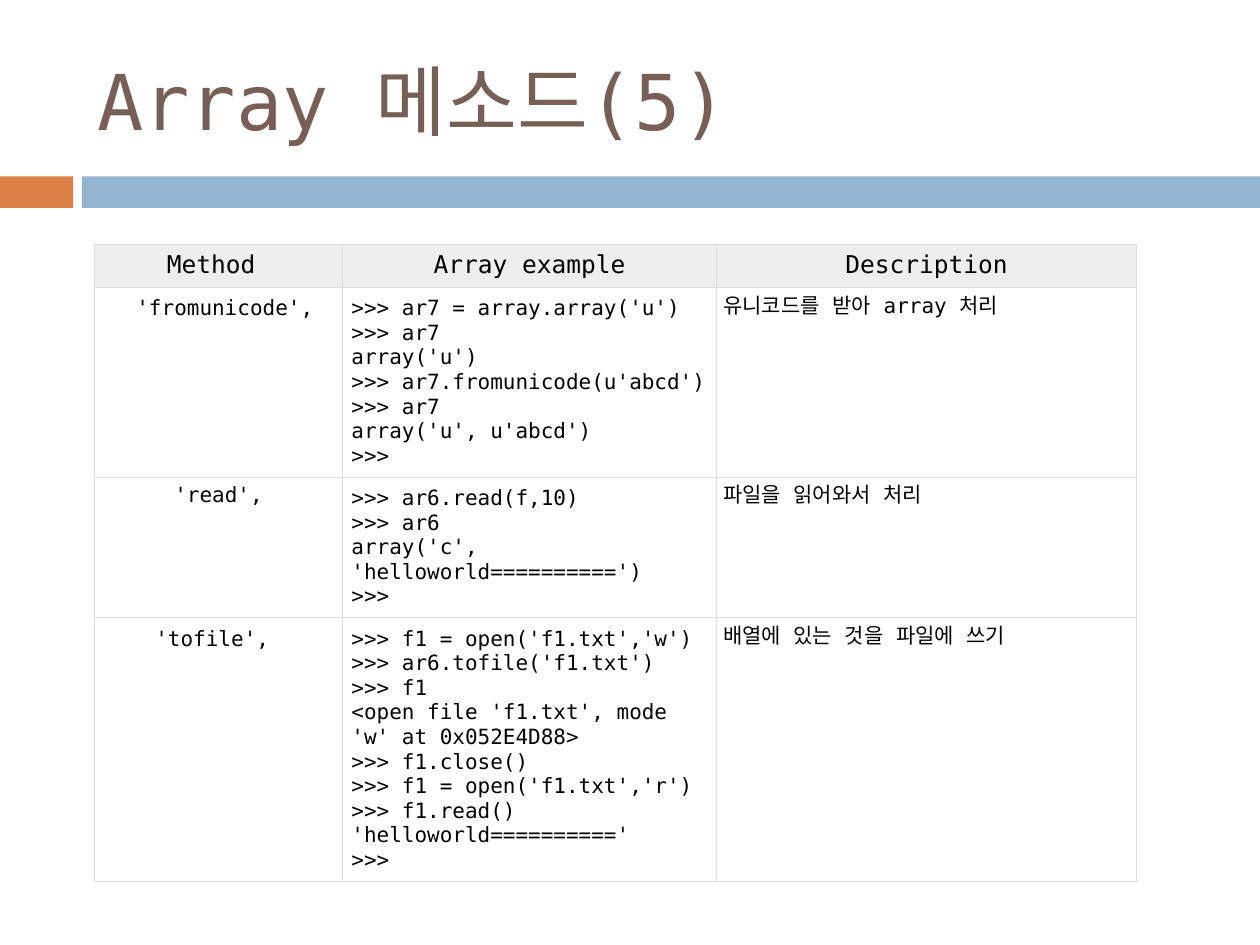
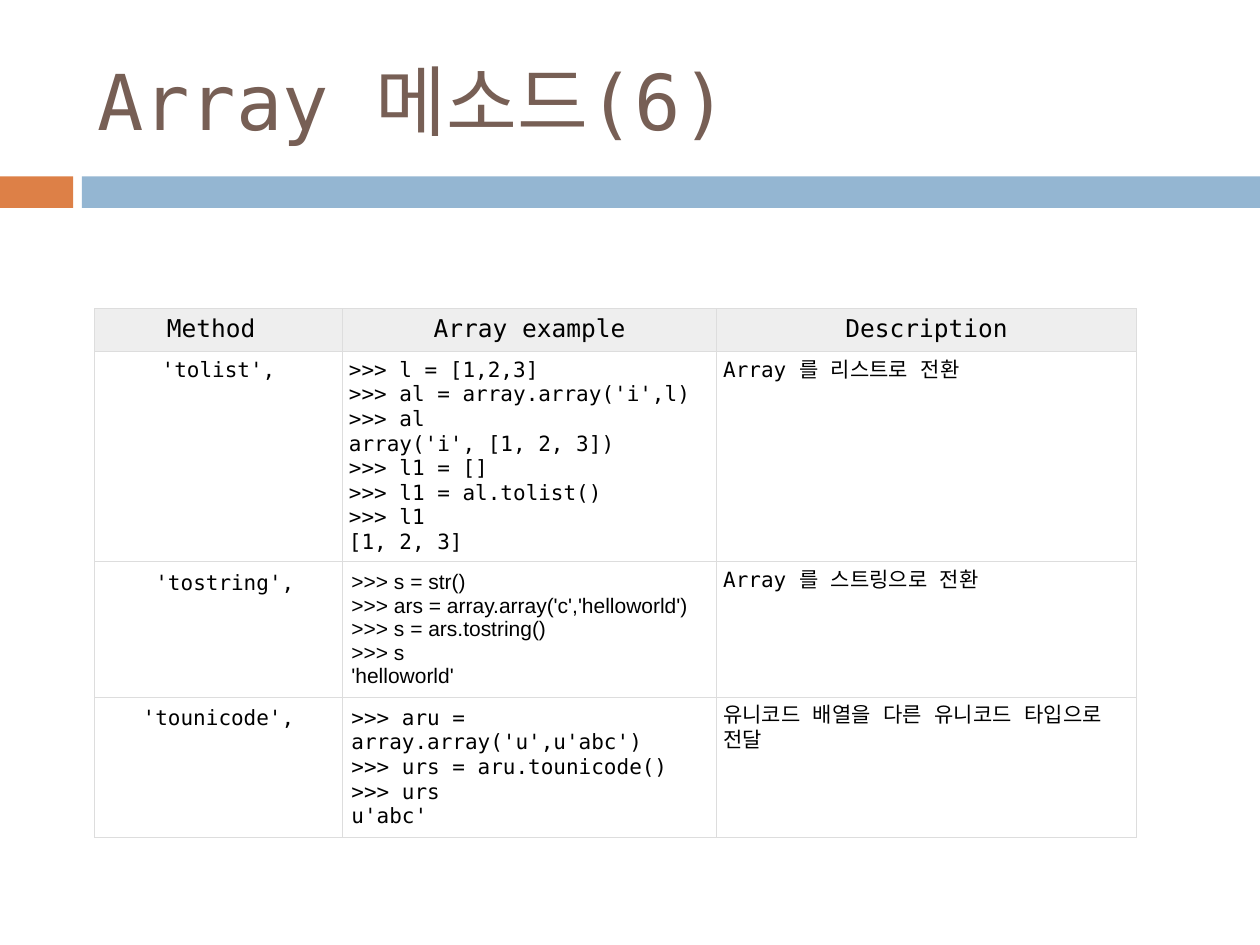
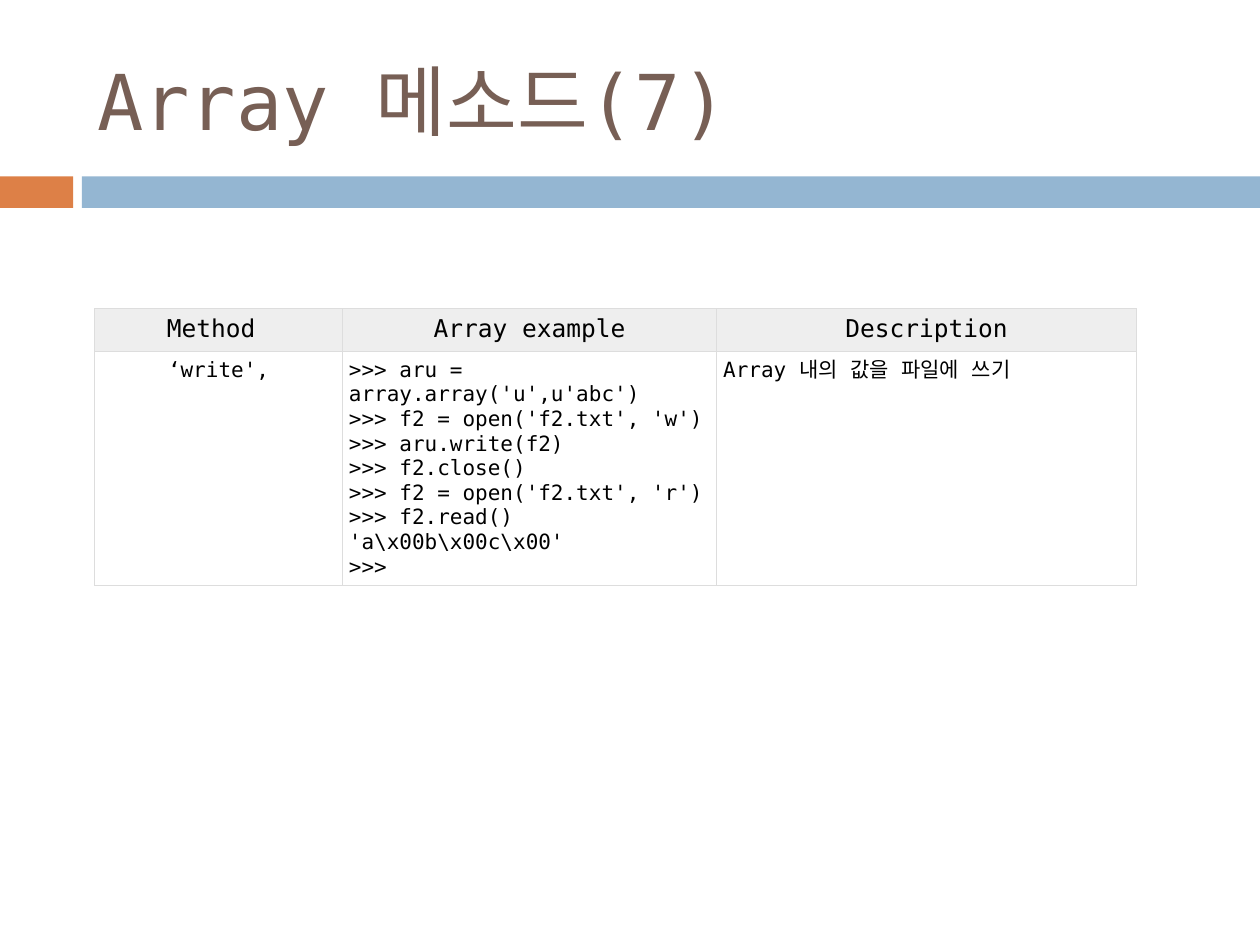
from dataclasses import dataclass

from lxml import etree
from pptx import Presentation
from pptx.dml.color import RGBColor
from pptx.enum.shapes import MSO_SHAPE
from pptx.enum.text import MSO_ANCHOR, MSO_AUTO_SIZE, PP_ALIGN
from pptx.oxml.ns import qn
from pptx.slide import Slide, SlideLayout
from pptx.table import _Cell
from pptx.text.text import TextFrame
from pptx.util import Pt

RECTANGLE = MSO_SHAPE.RECTANGLE
MIDDLE = MSO_ANCHOR.MIDDLE
NO_AUTOFIT = MSO_AUTO_SIZE.NONE
LEFT = PP_ALIGN.LEFT
CENTER = PP_ALIGN.CENTER

EMU_PER_PX = 9144
TITLE_ONLY = 5


@dataclass(frozen=True)
class Theme:
    title: str = "775F55"
    text: str = "000000"
    orange: str = "DD8047"
    blue: str = "94B6D2"
    header: str = "EEEEEE"
    border: str = "DDDDDD"
    mono: str = "DejaVu Sans Mono"
    sans: str = "Arial"
    title_size: int = 44
    header_size: int = 14
    body_size: int = 12
    border_width: float = 0.6


THEME = Theme()


@dataclass(frozen=True)
class Box:
    left: int
    top: int
    width: int
    height: int


@dataclass(frozen=True)
class Band:
    box: Box
    color: str


@dataclass(frozen=True)
class Method:
    name: str
    example: str
    description: str
    height: int
    name_inset: int = 7
    example_inset: int = 7
    example_font: str = THEME.mono


@dataclass(frozen=True)
class Page:
    title: str
    table_top: int
    methods: tuple[Method, ...]


SLIDE_WIDTH, SLIDE_HEIGHT = 1000, 750
TITLE_BOX = Box(67, 25, 892, 108)
BANDS = (
    Band(Box(0, 140, 58, 25), THEME.orange),
    Band(Box(65, 140, 935, 25), THEME.blue),
)
TABLE_LEFT = 75
COLUMN_WIDTHS = (197, 297, 333)
HEADINGS = ("Method ", "Array example", "Description")
HEADER_HEIGHT = 34
TIGHT_INSET = 5

PAGES = (
    Page("Array 메소드(5)", 194, (
        Method(" 'fromunicode',", """>>> ar7 = array.array('u')
>>> ar7
array('u')
>>> ar7.fromunicode(u'abcd')
>>> ar7
array('u', u'abcd')
>>>""", "유니코드를 받아 array 처리", 150),
        Method("'read',", """>>> ar6.read(f,10)
>>> ar6
array('c', 'helloworld==========')
>>>""", "파일을 읽어와서 처리", 111, name_inset=TIGHT_INSET),
        Method("'tofile', ", """>>> f1 = open('f1.txt','w')
>>> ar6.tofile('f1.txt')
>>> f1
<open file 'f1.txt', mode 'w' at 0x052E4D88>
>>> f1.close()
>>> f1 = open('f1.txt','r')
>>> f1.read()
'helloworld=========='
>>>""", "배열에 있는 것을 파일에 쓰기", 209),
    )),
    Page("Array 메소드(6)", 245, (
        Method("'tolist',", """>>> l = [1,2,3]
>>> al = array.array('i',l)
>>> al
array('i', [1, 2, 3])
>>> l1 = []
>>> l1 = al.tolist()
>>> l1
[1, 2, 3]""", "Array 를 리스트로 전환", 167,
               name_inset=TIGHT_INSET, example_inset=TIGHT_INSET),
        Method(" 'tostring',", """>>> s = str()
>>> ars = array.array('c','helloworld')
>>> s = ars.tostring()
>>> s
'helloworld'""", "Array 를 스트링으로 전환", 106, example_font=THEME.sans),
        Method(" 'tounicode', ", """>>> aru = array.array('u',u'abc')
>>> urs = aru.tounicode()
>>> urs
u'abc'""", "유니코드 배열을 다른 유니코드 타입으로 전달", 111),
    )),
    Page("Array 메소드(7)", 245, (
        Method("‘write',", r""">>> aru = array.array('u',u'abc')
>>> f2 = open('f2.txt', 'w')
>>> aru.write(f2)
>>> f2.close()
>>> f2 = open('f2.txt', 'r')
>>> f2.read()
'a\x00b\x00c\x00'
>>>""", "Array 내의 값을 파일에 쓰기", 186,
               name_inset=TIGHT_INSET, example_inset=TIGHT_INSET),
    )),
)


def px(length: int) -> int:
    return length * EMU_PER_PX


def place(box: Box) -> tuple[int, int, int, int]:
    return px(box.left), px(box.top), px(box.width), px(box.height)


def write(frame: TextFrame, text: str, *, size: int = THEME.body_size,
          font: str = THEME.mono, color: str = THEME.text,
          align: PP_ALIGN = LEFT) -> None:
    for index, line in enumerate(text.split("\n")):
        paragraph = frame.add_paragraph() if index else frame.paragraphs[0]
        paragraph.alignment = align
        run = paragraph.add_run()
        run.text = line
        run.font.size = Pt(size)
        run.font.color.rgb = RGBColor.from_string(color)
        run.font.name = font
        etree.SubElement(run._r.get_or_add_rPr(), qn("a:ea"), typeface=font)


def add_band(slide: Slide, layout: SlideLayout, band: Band) -> None:
    shape = slide.shapes.add_shape(RECTANGLE, *place(band.box))
    shape.shadow.inherit = False
    shape.fill.solid()
    shape.fill.fore_color.rgb = RGBColor.from_string(band.color)
    shape.line.fill.background()
    shape._element.nvSpPr.cNvPr.id = layout.shapes._next_shape_id
    layout.shapes._spTree.append(shape._element)


def add_title(slide: Slide, text: str) -> None:
    title = slide.shapes.title
    title.left, title.top, title.width, title.height = place(TITLE_BOX)
    frame = title.text_frame
    frame.auto_size = NO_AUTOFIT
    frame.vertical_anchor = MIDDLE
    write(frame, text, size=THEME.title_size, color=THEME.title)


def add_borders(cell: _Cell) -> None:
    properties = cell._tc.get_or_add_tcPr()
    for side in ("L", "R", "T", "B"):
        line = etree.SubElement(properties, qn(f"a:ln{side}"),
                                w=str(Pt(THEME.border_width)))
        fill = etree.SubElement(line, qn("a:solidFill"))
        etree.SubElement(fill, qn("a:srgbClr"), val=THEME.border)


def format_cell(cell: _Cell, inset: int) -> None:
    cell.margin_left = cell.margin_right = px(inset)
    cell.margin_top = cell.margin_bottom = px(inset)
    add_borders(cell)
    cell.fill.background()


def add_method_table(slide: Slide, page: Page) -> None:
    heights = (HEADER_HEIGHT, *(method.height for method in page.methods))
    box = Box(TABLE_LEFT, page.table_top, sum(COLUMN_WIDTHS), sum(heights))
    table = slide.shapes.add_table(
        len(heights), len(COLUMN_WIDTHS), *place(box)).table
    table.first_row = False
    table.horz_banding = False
    for column, width in zip(table.columns, COLUMN_WIDTHS):
        column.width = px(width)
    for row, height in zip(table.rows, heights):
        row.height = px(height)

    for column, heading in enumerate(HEADINGS):
        cell = table.cell(0, column)
        format_cell(cell, TIGHT_INSET)
        cell.fill.solid()
        cell.fill.fore_color.rgb = RGBColor.from_string(THEME.header)
        write(cell.text_frame, heading, size=THEME.header_size, align=CENTER)

    for row, method in enumerate(page.methods, start=1):
        name, example, description = (
            table.cell(row, column) for column in range(len(HEADINGS)))
        format_cell(name, method.name_inset)
        format_cell(example, method.example_inset)
        format_cell(description, TIGHT_INSET)
        write(name.text_frame, method.name, align=CENTER)
        write(example.text_frame, method.example, font=method.example_font)
        write(description.text_frame, method.description)


def main() -> None:
    deck = Presentation()
    deck.slide_width, deck.slide_height = px(SLIDE_WIDTH), px(SLIDE_HEIGHT)
    layout = deck.slide_layouts[TITLE_ONLY]
    for page in PAGES:
        slide = deck.slides.add_slide(layout)
        add_title(slide, page.title)
        add_method_table(slide, page)
    for band in BANDS:
        add_band(deck.slides[0], layout, band)
    deck.save("out.pptx")


if __name__ == "__main__":
    main()
